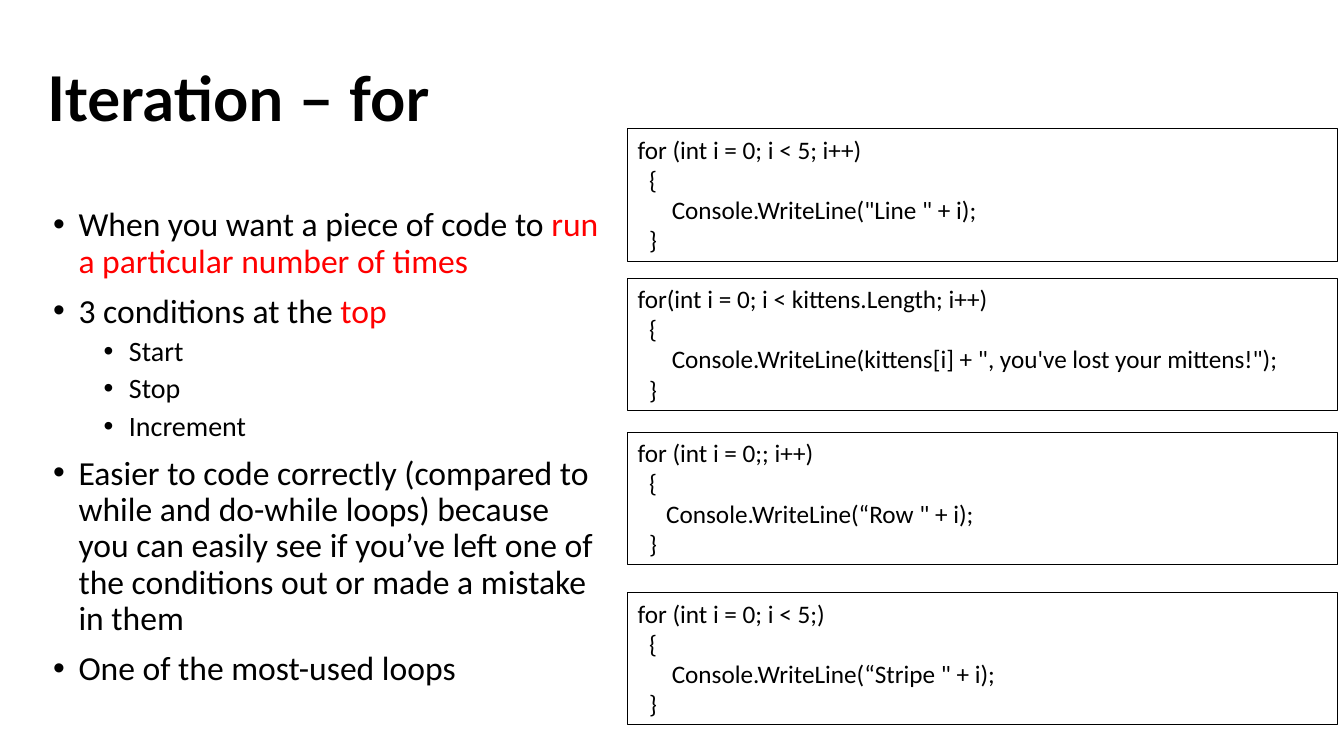
from dataclasses import dataclass

from lxml import etree
from pptx import Presentation
from pptx.dml.color import RGBColor
from pptx.enum.shapes import MSO_SHAPE
from pptx.enum.text import MSO_ANCHOR, MSO_AUTO_SIZE, PP_ALIGN
from pptx.oxml.ns import qn
from pptx.slide import Slide
from pptx.util import Cm, Pt

RECTANGLE = MSO_SHAPE.RECTANGLE
TOP, MIDDLE = MSO_ANCHOR.TOP, MSO_ANCHOR.MIDDLE
GROW = MSO_AUTO_SIZE.SHAPE_TO_FIT_TEXT
LEFT = PP_ALIGN.LEFT

COLORS = {"text": "000000", "accent": "FF0000", "border": "000000"}
BODY_FONT, TITLE_FONT = "Calibri", "Lato"
LINE_SPACING = 0.9
HANGING = 0.64  # cm
CODE_LEFT, CODE_WIDTH, CODE_HEIGHT = 15.82, 17.88, 3.33  # cm
BRACE_INDENT = 0.29  # cm


@dataclass(frozen=True)
class Level:
    margin: float  # cm
    size: int
    space_before: int


@dataclass(frozen=True)
class Bullet:
    level: int
    plain: str
    accent: str = ""


@dataclass(frozen=True)
class Loop:
    top: float  # cm
    header: str
    statement: str
    indent: float = 0.86  # cm


LEVELS = [Level(0.64, 24, 10), Level(1.91, 20, 5)]

BULLETS = [
    Bullet(0, "When you want a piece of code to ", "run a particular number of times"),
    Bullet(0, "3 conditions at the ", "top"),
    Bullet(1, "Start"),
    Bullet(1, "Stop"),
    Bullet(1, "Increment"),
    Bullet(0, "Easier to code correctly (compared to while and do-while loops) because "
              "you can easily see if you’ve left one of the conditions out or made "
              "a mistake in them"),
    Bullet(0, "One of the most-used loops"),
]

LOOPS = [
    Loop(3.25, "for (int i = 0; i < 5; i++)", 'Console.WriteLine("Line " + i);'),
    Loop(7.01, "for(int i = 0; i < kittens.Length; i++)",
         'Console.WriteLine(kittens[i] + ", you\'ve lost your mittens!");'),
    Loop(10.9, "for (int i = 0;; i++)", 'Console.WriteLine(“Row " + i);', 0.72),
    Loop(14.94, "for (int i = 0; i < 5;)", 'Console.WriteLine(“Stripe " + i);'),
]


def color(name: str) -> RGBColor:
    return RGBColor.from_string(COLORS[name])


def add_run(paragraph, text: str, size: int, tint: str = "text",
            font: str = BODY_FONT, bold: bool = False) -> None:
    run = paragraph.add_run()
    run.text = text
    run.font.name = font
    run.font.size = Pt(size)
    run.font.bold = bold
    run.font.color.rgb = color(tint)


def next_paragraph(frame, index: int):
    return frame.add_paragraph() if index else frame.paragraphs[0]


def add_title(slide: Slide, text: str) -> None:
    frame = slide.shapes.add_textbox(Cm(0.94), Cm(0.71), Cm(29.21), Cm(3.68)).text_frame
    frame.word_wrap = True
    frame.vertical_anchor = MIDDLE
    heading = frame.paragraphs[0]
    heading.line_spacing = LINE_SPACING
    add_run(heading, text, 44, font=TITLE_FONT, bold=True)


def add_bullets(slide: Slide, bullets: list[Bullet]) -> None:
    frame = slide.shapes.add_textbox(Cm(1.09), Cm(5.11), Cm(14.4), Cm(12.85)).text_frame
    frame.word_wrap = True
    for index, bullet in enumerate(bullets):
        level = LEVELS[bullet.level]
        point = next_paragraph(frame, index)
        point.level = bullet.level
        point.line_spacing = LINE_SPACING
        point.space_before = Pt(level.space_before)
        # Hanging bullet
        properties = point._p.get_or_add_pPr()
        properties.set("marL", str(Cm(level.margin)))
        properties.set("indent", str(-Cm(HANGING)))
        etree.SubElement(properties, qn("a:buFont"), typeface="Arial")
        etree.SubElement(properties, qn("a:buChar"), char="•")
        add_run(point, bullet.plain, level.size)
        if bullet.accent:
            add_run(point, bullet.accent, level.size, "accent")


def add_loop(slide: Slide, loop: Loop) -> None:
    panel = slide.shapes.add_shape(RECTANGLE, Cm(CODE_LEFT), Cm(loop.top),
                                   Cm(CODE_WIDTH), Cm(CODE_HEIGHT))
    panel.shadow.inherit = False
    panel.fill.background()
    panel.line.color.rgb = color("border")
    panel.line.width = Pt(0.75)
    frame = panel.text_frame
    frame.word_wrap = True
    frame.auto_size = GROW
    frame.vertical_anchor = TOP
    code_lines = [(0, loop.header), (BRACE_INDENT, "{"),
                  (loop.indent, loop.statement), (BRACE_INDENT, "}")]
    for index, (indent, code) in enumerate(code_lines):
        code_line = next_paragraph(frame, index)
        code_line.alignment = LEFT
        code_line._p.get_or_add_pPr().set("marL", str(Cm(indent)))
        add_run(code_line, code, 18)


def main() -> None:
    deck = Presentation()
    deck.slide_width, deck.slide_height = Cm(33.87), Cm(19.05)
    slide = deck.slides.add_slide(deck.slide_layouts[6])

    # Title and explanation
    add_title(slide, "Iteration – for")
    add_bullets(slide, BULLETS)

    # Code examples
    for loop in LOOPS:
        add_loop(slide, loop)

    deck.save("out.pptx")


if __name__ == "__main__":
    main()
